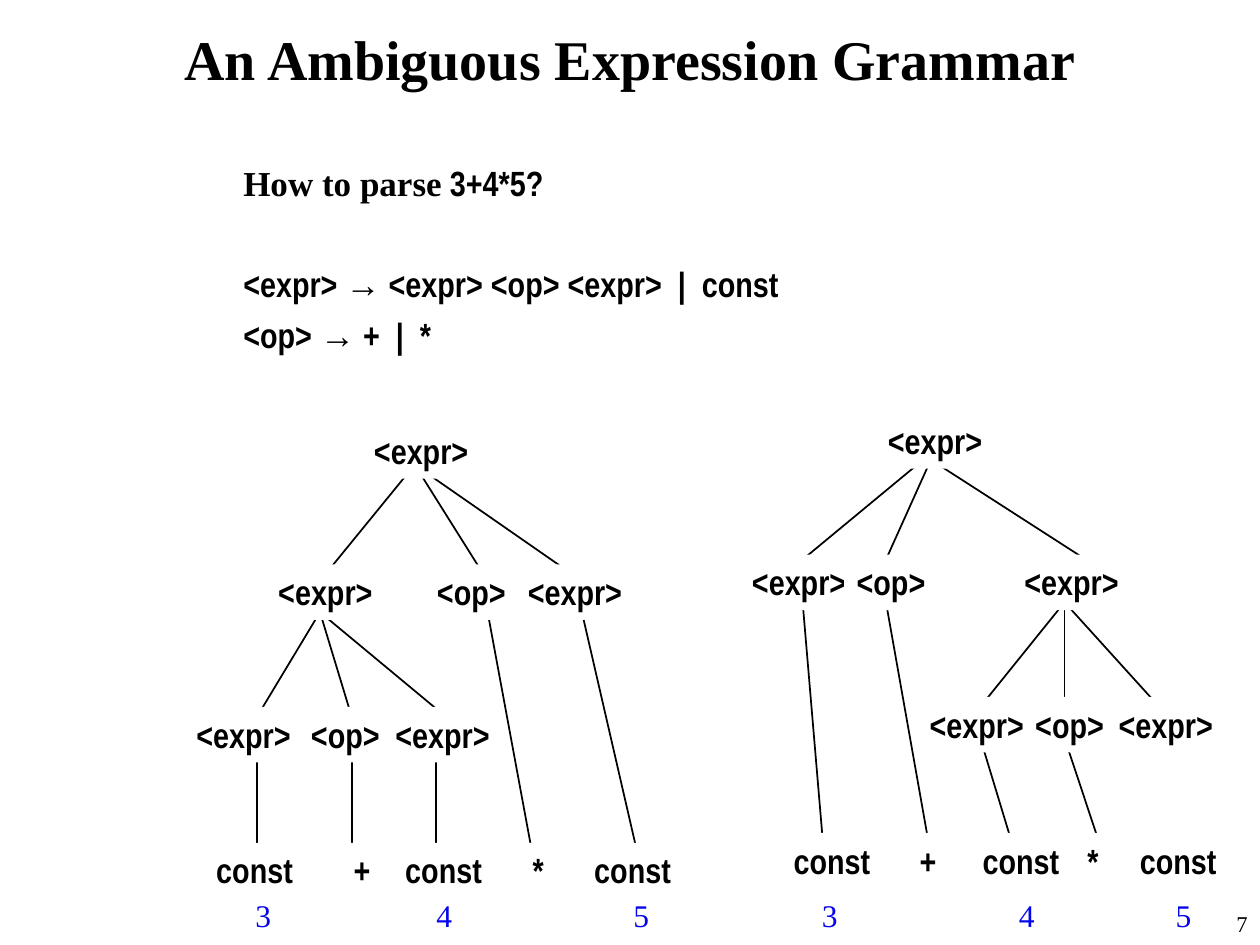
import pptx
import pptx.dml.color
import pptx.enum.shapes
import pptx.enum.text
import pptx.oxml
import pptx.oxml.ns
import pptx.util
from pptx.util import Cm

BLACK = pptx.dml.color.RGBColor(0x00, 0x00, 0x00)
WHITE = pptx.dml.color.RGBColor(0xFF, 0xFF, 0xFF)
BLUE = pptx.dml.color.RGBColor(0x05, 0x05, 0xEB)
SERIF, NARROW, SANS = "Times New Roman", "Arial Narrow", "Arial"
ALIGN = pptx.enum.text.PP_ALIGN
ANCHOR = pptx.enum.text.MSO_ANCHOR
AUTO_SIZE = pptx.enum.text.MSO_AUTO_SIZE
RECTANGLE = pptx.enum.shapes.MSO_SHAPE.RECTANGLE
STRAIGHT = pptx.enum.shapes.MSO_CONNECTOR.STRAIGHT


def write(paragraph, text, font=NARROW, size=20, color=BLACK, bold=True, align=ALIGN.LEFT):
    """Append one formatted run to the paragraph."""
    paragraph.alignment = align
    run = paragraph.add_run()
    run.text = text
    run.font.name = font
    run.font.size = pptx.util.Pt(size)
    run.font.color.rgb = color
    run.font.bold = bold


def add_element(parent, tag, **attributes):
    element = pptx.oxml.parse_xml(f"<{tag} {pptx.oxml.ns.nsdecls('a')}/>")
    for key, value in attributes.items():
        element.set(key, str(value))
    parent.append(element)
    return element


presentation = pptx.Presentation()
presentation.slide_width, presentation.slide_height = Cm(25.4), Cm(19.05)
slide = presentation.slides.add_slide(presentation.slide_layouts[1])

# Slide number
number = slide.shapes.add_textbox(Cm(23.5), Cm(18.21), Cm(1.9), Cm(0.84)).text_frame
number.word_wrap = True
write(number.paragraphs[0], "7", font=SERIF, size=12.9, bold=False, align=ALIGN.RIGHT)

# Title
title = slide.shapes.title
title.left, title.top, title.width, title.height = Cm(0.64), Cm(0.22), Cm(24.13), Cm(1.9)
title.text_frame.vertical_anchor = ANCHOR.MIDDLE
title.text_frame.auto_size = AUTO_SIZE.NONE
write(title.text_frame.paragraphs[0], "An Ambiguous Expression Grammar",
      font=SERIF, size=32, align=ALIGN.CENTER)

# Question and grammar rules: space before, then (text, font) parts
grammar = [
    (5, [("How to parse", SERIF), (" 3+4*5?", NARROW)]),
    (34, [("<expr> ", NARROW), ("→", SANS), (" <expr> <op> <expr>  |  const", NARROW)]),
    (5, [("<op> ", NARROW), ("→", SANS), (" +  |  *", NARROW)]),
]
body = slide.placeholders[1]
body.left, body.top, body.width, body.height = Cm(4.65), Cm(3.12), Cm(20.75), Cm(14.53)
body.text_frame.auto_size = AUTO_SIZE.NONE
for index, (space, parts) in enumerate(grammar):
    rule = body.text_frame.add_paragraph() if index else body.text_frame.paragraphs[0]
    rule.space_before = pptx.util.Pt(space)
    properties = rule._p.get_or_add_pPr()
    properties.set("marL", str(Cm(0.95)))
    properties.set("indent", str(-Cm(0.95)))
    add_element(properties, "a:buNone")
    for text, font in parts:
        write(rule, text, font=font)

# Parse trees, in cm. Levels run from the root (0) to the leaves (3).
# tops: label tops; exits: where branches leave a level; entries: where they arrive.
# branches: (from level, from x, to level, to x); labels: per level (text, left).
LABEL_WIDTH = {"<expr>": 2.43, "<op>": 1.95, "const": 2.1, "+": 0.88, "*": 0.78}
product_of_sum = {
    "tops": [8.53, 11.38, 14.25, 16.99],
    "exits": [9.37, 12.34, 15.09],
    "entries": [None, 11.71, 14.45, 17.2],
    "branches": [
        (0, 8.36, 1, 6.45), (0, 8.36, 1, 9.83), (0, 8.36, 1, 11.73),
        (1, 6.45, 2, 5.18), (1, 6.45, 2, 7.09), (1, 6.45, 2, 8.99),
        (1, 9.83, 3, 10.73), (1, 11.73, 3, 12.85),
        (2, 5.18, 3, 5.18), (2, 7.09, 3, 7.09), (2, 8.79, 3, 8.79),
    ],
    "labels": [
        [("<expr>", 7.29)],
        [("<expr>", 5.36), ("<op>", 8.56), ("<expr>", 10.39)],
        [("<expr>", 3.71), ("<op>", 6.02), ("<expr>", 7.72)],
        [("const", 4.11), ("+", 6.88), ("const", 7.92), ("*", 10.49), ("const", 11.73)],
    ],
}
sum_with_product = {
    "tops": [8.33, 11.18, 14.05, 16.79],
    "exits": [9.37, 12.14, 14.88],
    "entries": [None, 11.28, 14.25, 16.99],
    "branches": [
        (0, 18.49, 1, 16.18), (0, 18.72, 1, 17.86), (0, 18.92, 1, 21.89),
        (1, 21.46, 2, 19.76), (1, 21.46, 2, 21.46), (1, 21.46, 2, 23.37),
        (1, 16.18, 3, 16.59), (1, 17.86, 3, 18.72),
        (2, 19.76, 3, 20.4), (2, 21.46, 3, 22.16),
    ],
    "labels": [
        [("<expr>", 17.65)],
        [("<expr>", 14.91), ("<op>", 17.02), ("<expr>", 20.4)],
        [("<expr>", 18.49), ("<op>", 20.62), ("<expr>", 22.3)],
        [("const", 15.75), ("+", 18.29), ("const", 19.56), ("*", 21.67), ("const", 22.73)],
    ],
}

for tree in (sum_with_product, product_of_sum):
    group = slide.shapes.add_group_shape()
    for upper, start_x, lower, end_x in tree["branches"]:
        branch = group.shapes.add_connector(
            STRAIGHT, Cm(start_x), Cm(tree["exits"][upper]),
            Cm(end_x), Cm(tree["entries"][lower]))
        branch.line.color.rgb = BLACK
        branch.line.width = pptx.util.Pt(1)
        add_element(branch._element.spPr, "a:effectLst")
    for top, level in zip(tree["tops"], tree["labels"]):
        for text, left in level:
            label = group.shapes.add_shape(
                RECTANGLE, Cm(left), Cm(top), Cm(LABEL_WIDTH[text]), Cm(1.12))
            label.shadow.inherit = False
            label.fill.solid()
            label.fill.fore_color.rgb = WHITE
            label.line.fill.background()
            label.text_frame.word_wrap = False
            label.text_frame.auto_size = AUTO_SIZE.NONE
            label.text_frame.vertical_anchor = ANCHOR.TOP
            write(label.text_frame.paragraphs[0], text)

# Constant values under the leaves, set on tab stops
values = slide.shapes.add_textbox(Cm(4.9), Cm(17.93), Cm(19.61), Cm(1.02)).text_frame
values.word_wrap = True
value_line = values.paragraphs[0]
write(value_line, "3\t4\t5\t3\t4\t5", font=SERIF, size=18, color=BLUE, bold=False)
tab_stops = add_element(value_line._p.get_or_add_pPr(), "a:tabLst")
for position in (3.65, 7.62, 11.42, 15.39, 18.55):
    add_element(tab_stops, "a:tab", pos=Cm(position), algn="l")

presentation.save("out.pptx")
